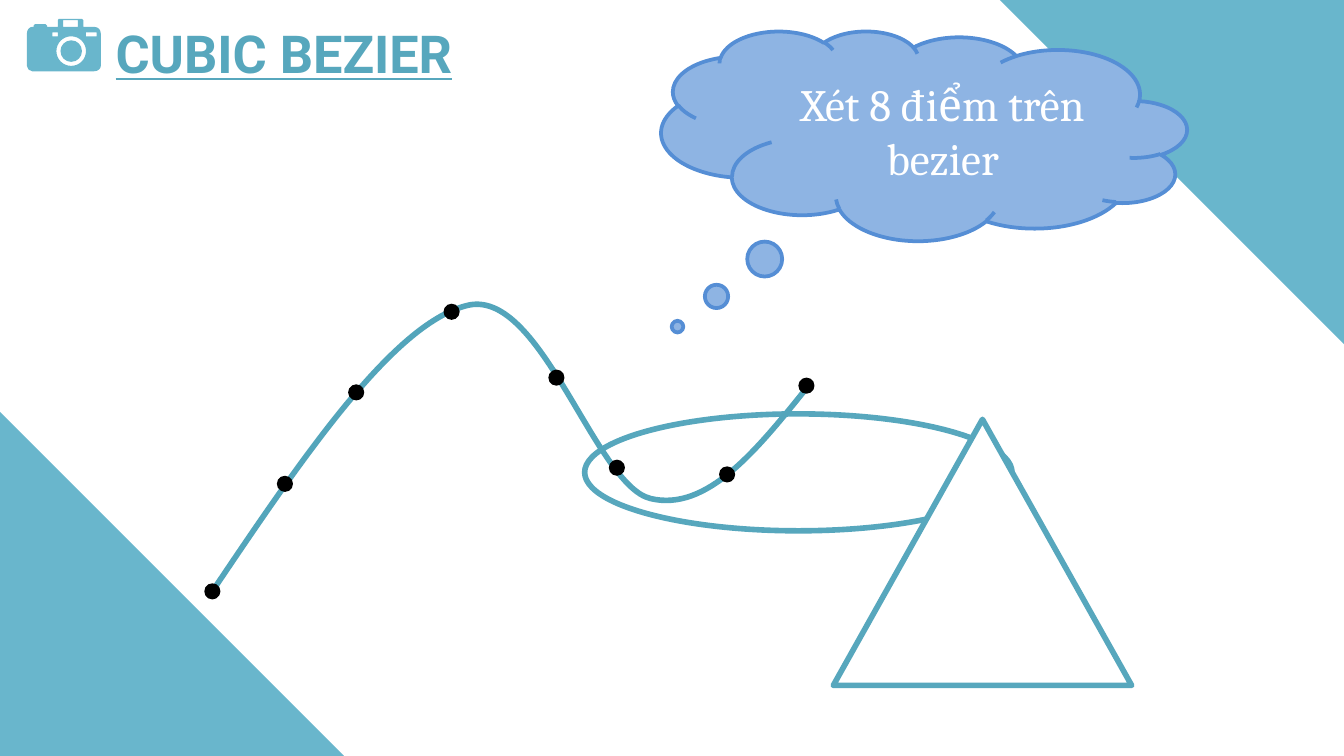
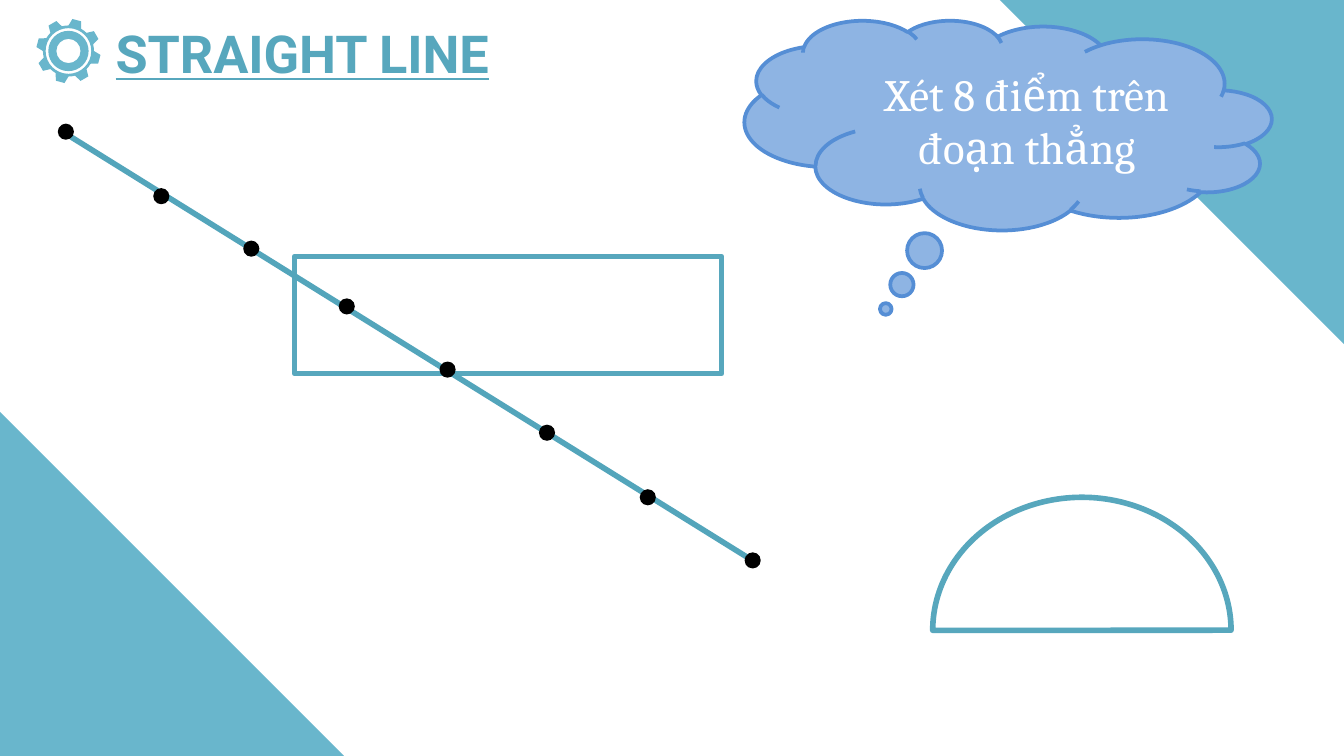
from math import cos, radians, sin, tan

from lxml import etree
from pptx import Presentation
from pptx.dml.color import RGBColor
from pptx.enum.shapes import MSO_CONNECTOR, MSO_SHAPE
from pptx.enum.text import MSO_ANCHOR, MSO_AUTO_SIZE, PP_ALIGN
from pptx.oxml.ns import qn
from pptx.util import Inches, Pt

ELLIPSE, RECTANGLE = MSO_SHAPE.OVAL, MSO_SHAPE.RECTANGLE
TRIANGLE, PIE = MSO_SHAPE.ISOSCELES_TRIANGLE, MSO_SHAPE.PIE
CORNER, CLOUD = MSO_SHAPE.RIGHT_TRIANGLE, MSO_SHAPE.CLOUD_CALLOUT

# Shared look
WIDTH, HEIGHT = 10, 10 * 9 / 16
CORNER_SIZE = 2.56
DOT_SIZE = 0.12
TITLE_BOX = (0.76, 0.11, 3.44, 0.57)
BAND, OUTLINE, CURVE = "69B6CC", "57A7BD", "53A5BB"
CLOUD_FILL, CLOUD_LINE = "8EB4E3", "558ED5"
WHITE, BLACK = "FFFFFF", "000000"

# Slide content; dots are given by their centres
BEZIER = {
    "title": "CUBIC BEZIER",
    "thought": "Xét 8 điểm trên bezier",
    "cloud": (4.92, 0.23, 3.91, 1.56),
    "tail": (0.469, 0.911),
    "dots": [(1.58, 4.4), (6, 2.87), (3.36, 2.32), (4.59, 3.48),
             (2.12, 3.6), (4.14, 2.81), (2.65, 2.92), (5.41, 3.53)],
}
STRAIGHT = {
    "title": "STRAIGHT LINE",
    "thought": "Xét 8 điểm trên đoạn thẳng",
    "cloud": (5.54, 0.15, 3.92, 1.56),
    "tail": (0.232, 0.878),
    "dots": [(0.49, 0.98), (5.6, 4.17), (2.58, 2.28), (4.07, 3.22),
             (1.2, 1.46), (3.33, 2.75), (1.87, 1.85), (4.82, 3.7)],
}

# Outlines: two numbers are a line to a point, six are a cubic curve
BEZIER_CURVE = [(1.58, 4.4), (2.26, 3.39, 2.94, 2.39, 3.49, 2.27),
                (4.03, 2.16, 4.43, 3.61, 4.84, 3.71),
                (5.26, 3.81, 5.63, 3.35, 6, 2.89)]
CAMERA_BODY = [
    (0.45, 0.14), (0.61, 0.14), (0.62, 0.14, 0.62, 0.14, 0.62, 0.15),
    (0.62, 0.2), (0.7, 0.2), (0.73, 0.2, 0.75, 0.22, 0.75, 0.25),
    (0.75, 0.49), (0.75, 0.51, 0.73, 0.53, 0.7, 0.53),
    (0.24, 0.53), (0.22, 0.53, 0.2, 0.51, 0.2, 0.49),
    (0.2, 0.25), (0.2, 0.22, 0.22, 0.2, 0.24, 0.2),
    (0.25, 0.2), (0.25, 0.19), (0.25, 0.18, 0.25, 0.18, 0.26, 0.18),
    (0.34, 0.18), (0.34, 0.18, 0.35, 0.18, 0.35, 0.19),
    (0.35, 0.2), (0.43, 0.2), (0.43, 0.15), (0.43, 0.14, 0.44, 0.14, 0.45, 0.14),
]
CAMERA_WINDOWS = [(0.39, 0.24, 0.43, 0.27), (0.64, 0.24, 0.72, 0.27),
                  (0.47, 0.15, 0.58, 0.2)]
LENS_CENTRE, LENS_RADII = (0.53, 0.38), (0.11, 0.08)
GEAR_CENTRE, GEAR_RADII = (0.51, 0.38), (0.17, 0.15, 0.09)


def color(value):
    return RGBColor.from_string(value)


def style(shape, fill=None, line=None, width=3):
    shape.shadow.inherit = False
    if fill:
        shape.fill.solid()
        shape.fill.fore_color.rgb = color(fill)
    else:
        shape.fill.background()
    if line:
        shape.line.color.rgb = color(line)
        shape.line.width = Pt(width)
    else:
        shape.line.fill.background()
    return shape


def add_preset(slide, kind, box, **look):
    shape = slide.shapes.add_shape(kind, *(Inches(length) for length in box))
    return style(shape, **look)


# Outline geometry
def polar(centre, radius, degrees):
    angle = radians(degrees)
    return centre[0] + radius * cos(angle), centre[1] + radius * sin(angle)


def arc(centre, radius, start, end):
    """The cubic step that follows a circle between two angles."""
    reach = 4 / 3 * tan(radians(end - start) / 4) * radius
    x1, y1 = polar(centre, radius, start)
    x2, y2 = polar(centre, radius, end)
    dx1, dy1 = polar((0, 0), reach, start + 90)
    dx2, dy2 = polar((0, 0), reach, end + 90)
    return x1 + dx1, y1 + dy1, x2 - dx2, y2 - dy2, x2, y2


def circle(centre, radius):
    return [polar(centre, radius, 0)] + [
        arc(centre, radius, start, start + 90) for start in range(0, 360, 90)]


def gear_rim(centre, teeth=8, first=-30):
    steps = []
    for tooth in range(teeth):
        middle = first + tooth * 360 / teeth
        for radius, offset in ((0.19, -15), (0.24, -8), (0.24, 8), (0.19, 15)):
            steps.append(polar(centre, radius, middle + offset))
        steps.append(arc(centre, 0.19, middle + 15, middle + 30))
    return steps


def bend(shape, steps):
    """Turn the straight segments of six-number steps into cubic curves."""
    segments = list(shape.element.iter(qn("a:lnTo")))
    for segment, step in zip(segments, steps):
        if len(step) == 2:
            continue
        segment.tag = qn("a:cubicBezTo")
        for index, (x, y) in enumerate((step[:2], step[2:4])):
            point = etree.Element(qn("a:pt"))
            point.set("x", str(Inches(x) - shape.left))
            point.set("y", str(Inches(y) - shape.top))
            segment.insert(index, point)


def add_outline(slide, contours, closed=True, **look):
    builder = None
    for contour in contours:
        points = [(Inches(step[-2]), Inches(step[-1])) for step in contour]
        if builder is None:
            builder = slide.shapes.build_freeform(*points[0])
        else:
            builder.move_to(*points[0])
        builder.add_line_segments(points[1:], close=closed)
    shape = builder.convert_to_shape()
    bend(shape, [step for contour in contours for step in contour[1:]])
    return style(shape, **look)


# Parts that both slides use
def add_corners(slide, layout):
    low = HEIGHT - CORNER_SIZE
    for left, top, turn in ((WIDTH - CORNER_SIZE, 0, 180), (0, low, 0)):
        corner = add_preset(slide, CORNER, (left, top, CORNER_SIZE, CORNER_SIZE), fill=BAND)
        corner.rotation = turn
        layout.shapes.element.append(corner.element)


def add_title(slide, text):
    title = slide.shapes.title
    title.left, title.top, title.width, title.height = (Inches(length) for length in TITLE_BOX)
    frame = title.text_frame
    frame.text = text
    frame.word_wrap = True
    frame.auto_size = MSO_AUTO_SIZE.SHAPE_TO_FIT_TEXT
    frame.vertical_anchor = MSO_ANCHOR.TOP
    paragraph = frame.paragraphs[0]
    paragraph.alignment = PP_ALIGN.LEFT
    font = paragraph.font
    font.name, font.size = "Roboto", Pt(28)
    font.bold = font.underline = True
    font.color.rgb = color(OUTLINE)


def add_cloud(slide, content):
    cloud = add_preset(slide, CLOUD, content["cloud"], fill=CLOUD_FILL, line=CLOUD_LINE, width=2)
    cloud.adjustments[0], cloud.adjustments[1] = content["tail"]
    cloud.element.spPr.get_or_add_xfrm().set("flipH", "1")
    frame = cloud.text_frame
    frame.text = content["thought"]
    frame.word_wrap = True
    frame.vertical_anchor = MSO_ANCHOR.MIDDLE
    paragraph = frame.paragraphs[0]
    paragraph.alignment = PP_ALIGN.CENTER
    font = paragraph.font
    font.name, font.size = "Cambria", Pt(24)
    font.color.rgb = color(WHITE)


def add_dots(slide, centres):
    for x, y in centres:
        box = (x - DOT_SIZE / 2, y - DOT_SIZE / 2, DOT_SIZE, DOT_SIZE)
        add_preset(slide, ELLIPSE, box, fill=BLACK)


# Slides
def build_bezier(slide):
    add_title(slide, BEZIER["title"])
    windows = [[(left, top), (left, bottom), (right, bottom), (right, top)]
               for left, top, right, bottom in CAMERA_WINDOWS]
    lens = [circle(LENS_CENTRE, radius) for radius in LENS_RADII]
    add_outline(slide, [CAMERA_BODY] + windows + lens, fill=BAND)
    add_preset(slide, ELLIPSE, (4.35, 3.08, 3.18, 0.87), line=OUTLINE)
    add_cloud(slide, BEZIER)
    add_outline(slide, [BEZIER_CURVE], closed=False, line=CURVE)
    add_dots(slide, BEZIER["dots"])
    add_preset(slide, TRIANGLE, (6.2, 3.12, 2.22, 1.98), fill=WHITE, line=OUTLINE)


def build_straight(slide):
    add_title(slide, STRAIGHT["title"])
    rings = [circle(GEAR_CENTRE, radius) for radius in GEAR_RADII]
    add_outline(slide, [gear_rim(GEAR_CENTRE)] + rings, fill=BAND)
    add_cloud(slide, STRAIGHT)
    add_preset(slide, RECTANGLE, (2.19, 1.91, 3.18, 0.87), line=OUTLINE)
    half_disc = add_preset(slide, PIE, (6.94, 3.7, 2.22, 1.98), fill=WHITE, line=OUTLINE)
    half_disc.rotation = 180
    half_disc.adjustments[0], half_disc.adjustments[1] = 0, 107.958
    segment = slide.shapes.add_connector(
        MSO_CONNECTOR.STRAIGHT, Inches(0.53), Inches(1.02), Inches(5.63), Inches(4.19))
    segment.line.color.rgb = color(CURVE)
    segment.line.width = Pt(3)
    etree.SubElement(segment.element.spPr, qn("a:effectLst"))
    add_dots(slide, STRAIGHT["dots"])


def main():
    presentation = Presentation()
    presentation.slide_width, presentation.slide_height = Inches(WIDTH), Inches(HEIGHT)
    layout = presentation.slide_layouts[5]
    slides = [presentation.slides.add_slide(layout) for _ in range(2)]
    add_corners(slides[0], layout)
    build_bezier(slides[0])
    build_straight(slides[1])
    presentation.save("out.pptx")


if __name__ == "__main__":
    main()
